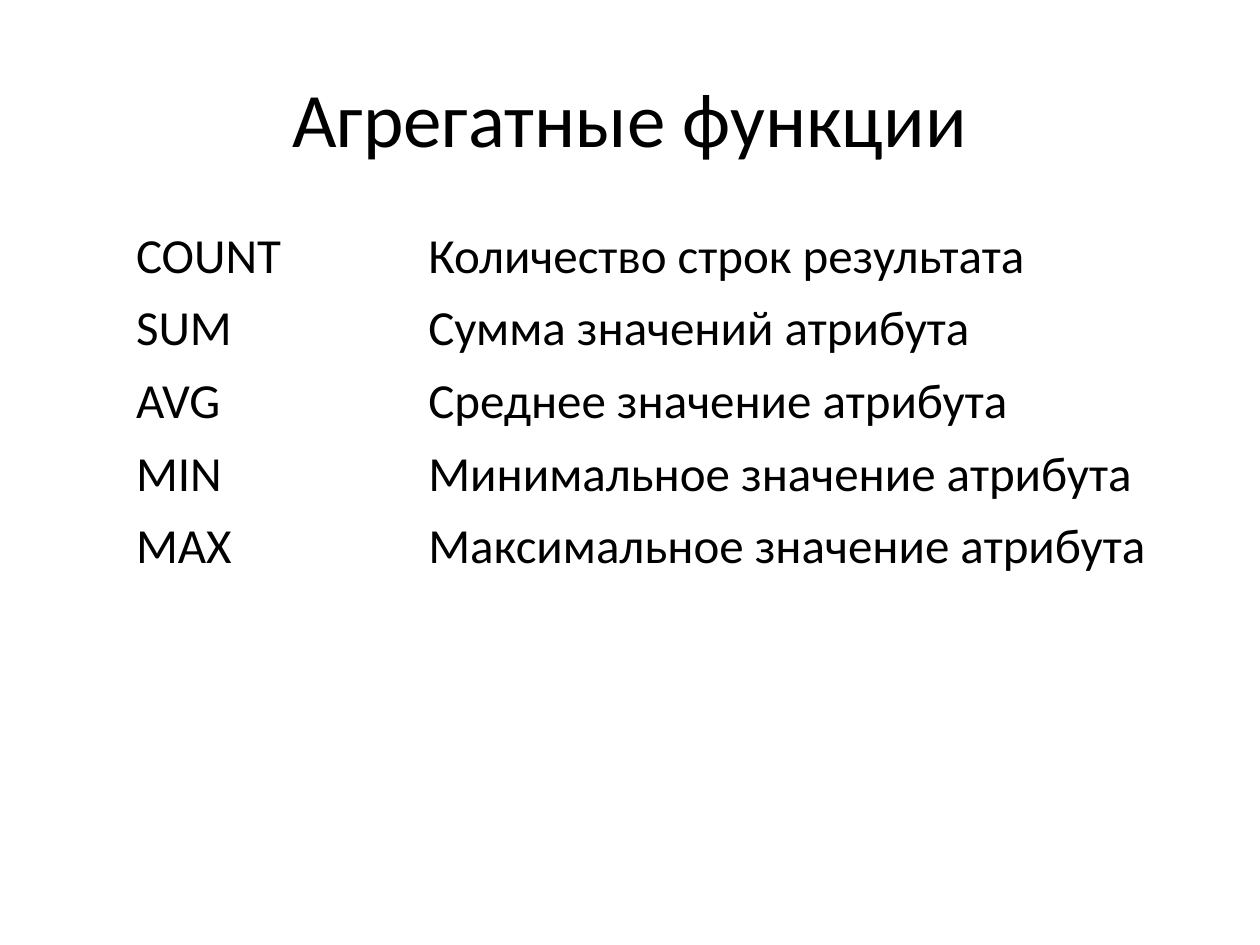
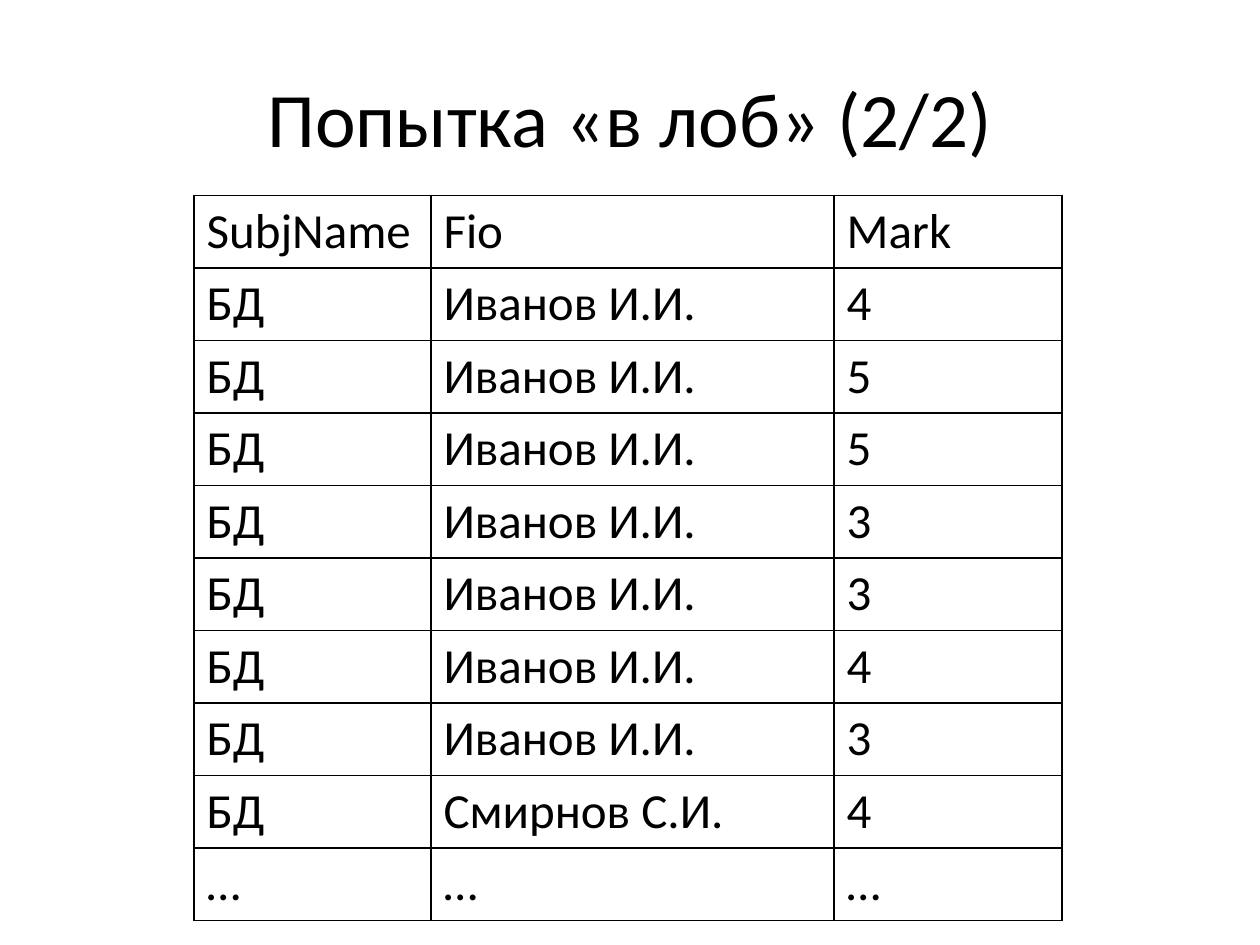
import pptx
import pptx.dml.color
import pptx.enum.text
import pptx.oxml.ns
import pptx.util
from lxml import etree

Inches = pptx.util.Inches


class Theme:
    font = "Calibri"
    text = pptx.dml.color.RGBColor(0, 0, 0)
    background = pptx.dml.color.RGBColor(255, 255, 255)
    title_size = pptx.util.Pt(44)
    table_size = pptx.util.Pt(28)
    border_width = pptx.util.Pt(1)
    row_height = Inches(0.57)


def style_paragraph(p, size):
    p.font.name = Theme.font
    p.font.size = size
    p.font.color.rgb = Theme.text


def add_borders(cell):
    tcPr = cell._tc.get_or_add_tcPr()
    for side in ("lnL", "lnR", "lnT", "lnB"):
        ln = etree.SubElement(tcPr, pptx.oxml.ns.qn(f"a:{side}"), w=str(Theme.border_width))
        fill = etree.SubElement(ln, pptx.oxml.ns.qn("a:solidFill"))
        etree.SubElement(fill, pptx.oxml.ns.qn("a:srgbClr"), val=str(Theme.text))


functions = [
    ("COUNT", "Количество строк результата"),
    ("SUM", "Сумма значений атрибута"),
    ("AVG", "Среднее значение атрибута"),
    ("MIN", "Минимальное значение атрибута"),
    ("MAX", "Максимальное значение атрибута"),
]
marks = [
    ("SubjName", "Fio", "Mark"),
    *[("БД", "Иванов И.И.", mark) for mark in "4553343"],
    ("БД", "Смирнов С.И.", "4"),
    ("…", "…", "…"),
]
slides = [
    ("Агрегатные функции", functions, 0.98, 1.75, (2.32, 6.2), False),
    ("Попытка «в лоб» (2/2)", marks, 1.54, 1.55, (1.88, 3.2, 1.81), True),
]

prs = pptx.Presentation()
prs.slide_width = Inches(10)
prs.slide_height = Inches(7.5)

for title, rows, left, top, widths, bordered in slides:
    s = prs.slides.add_slide(prs.slide_layouts.get_by_name("Title Only"))
    s.background.fill.solid()
    s.background.fill.fore_color.rgb = Theme.background

    sp = s.shapes.title
    sp.left, sp.top, sp.width, sp.height = Inches(0.5), Inches(0.3), Inches(9), Inches(1.25)
    tf = sp.text_frame
    tf.text = title
    tf.vertical_anchor = pptx.enum.text.MSO_ANCHOR.MIDDLE
    p = tf.paragraphs[0]
    p.alignment = pptx.enum.text.PP_ALIGN.CENTER
    style_paragraph(p, Theme.title_size)

    table = s.shapes.add_table(
        len(rows), len(widths), Inches(left), Inches(top),
        Inches(sum(widths)), Theme.row_height * len(rows),
    ).table
    table.first_row = False
    table.horz_banding = False
    for column, width in zip(table.columns, widths):
        column.width = Inches(width)
    for row, values in zip(table.rows, rows):
        row.height = Theme.row_height
        for cell, value in zip(row.cells, values):
            cell.text = value
            style_paragraph(cell.text_frame.paragraphs[0], Theme.table_size)
            if bordered:
                add_borders(cell)
            cell.fill.background()

prs.save("out.pptx")
